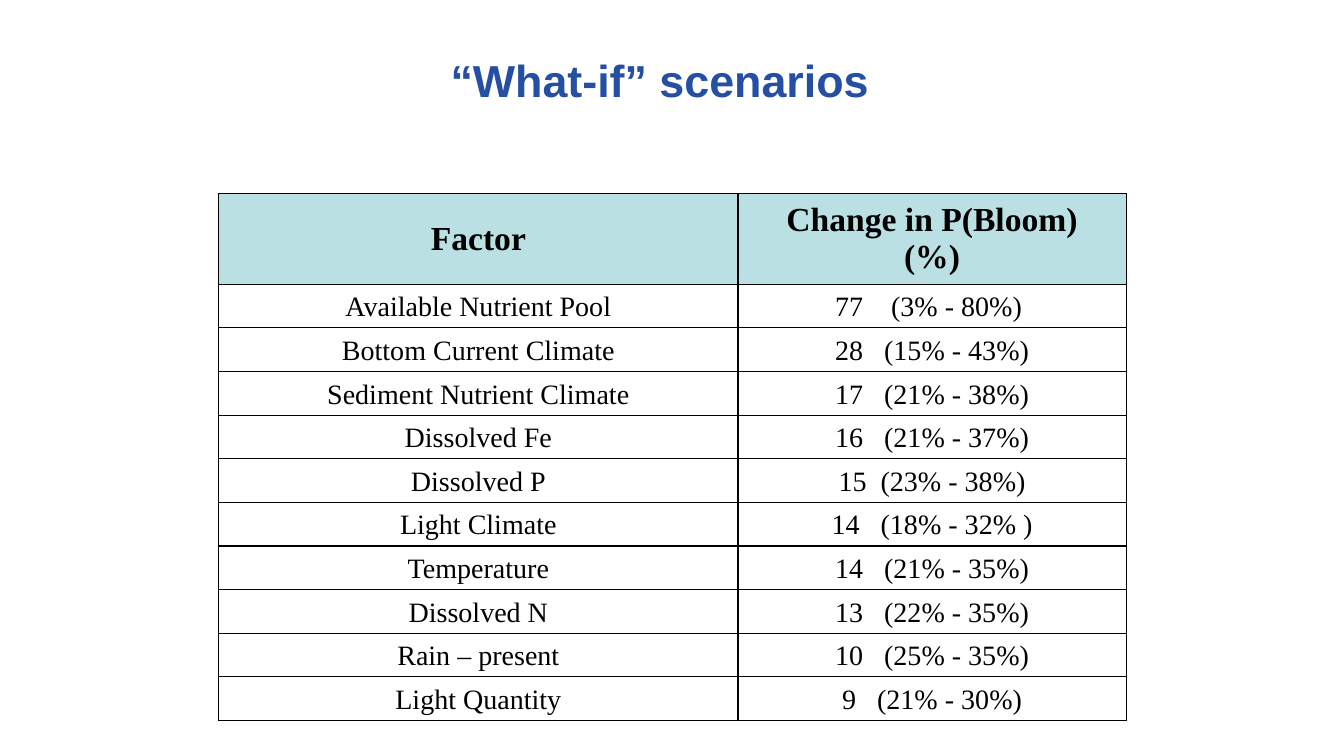
from dataclasses import dataclass

from lxml.etree import SubElement
from pptx import Presentation
from pptx.dml.color import RGBColor
from pptx.enum.text import MSO_ANCHOR as Anchor, PP_ALIGN as Align
from pptx.oxml.ns import qn
from pptx.util import Emu, Inches, Pt

SLIDE_WIDTH, SLIDE_HEIGHT = Inches(13.33), Inches(7.5)
HANGING_INDENT = Inches(0.38)
SPACE_WIDTH = 0.25  # width of a Times New Roman space, in ems

# Shares of the slide, in percent
TABLE_LEFT, TABLE_TOP = 16.28, 25.6
COLUMN_SHARES = (38.63, 28.88)
HEADER_SHARE, ROW_SHARE = 12, 5.77


@dataclass(frozen=True)
class TextStyle:
    font: str
    size: int
    color: str
    bold: bool = False


@dataclass(frozen=True)
class Scenario:
    factor: str
    change: str
    interval: str
    gap: int = 3  # distance from change to interval, in space widths


TITLE = TextStyle("Arial", 32, "254FA3", True)
HEADER = TextStyle("Times New Roman", 24, "000000", True)
BODY = TextStyle("Times New Roman", 20, "000000")

SCENARIOS = (
    Scenario("Available Nutrient Pool", "77", "(3% - 80%) ", 4),
    Scenario("Bottom Current Climate", "28", "(15% - 43%)"),
    Scenario("Sediment Nutrient Climate", "17", "(21% - 38%)"),
    Scenario("Dissolved Fe", "16", "(21% - 37%)"),
    Scenario("Dissolved P", "15", "(23% - 38%)", 2),
    Scenario("Light Climate", "14", "(18% - 32% )"),
    Scenario("Temperature", "14", "(21% - 35%)"),
    Scenario("Dissolved N", "13", "(22% - 35%)"),
    Scenario("Rain – present", "10", "(25% - 35%)"),
    Scenario("Light Quantity", "9", "(21% - 30%)"),
)


def across(share: float) -> Emu:
    return Emu(int(SLIDE_WIDTH * share / 100))


def down(share: float) -> Emu:
    return Emu(int(SLIDE_HEIGHT * share / 100))


def color(value: str) -> RGBColor:
    return RGBColor.from_string(value)


def add_run(paragraph, text: str, style: TextStyle):
    run = paragraph.add_run()
    run.text = text
    run.font.name = style.font
    run.font.size = Pt(style.size)
    run.font.bold = style.bold
    run.font.color.rgb = color(style.color)
    return run


def add_gap(paragraph, spaces: int, style: TextStyle) -> None:
    """Add one space, widened by character spacing."""
    run = add_run(paragraph, " ", style)
    extra = (spaces - 1) * SPACE_WIDTH * style.size
    run._r.get_or_add_rPr().set("spc", str(int(extra * 100)))


def centre(paragraph, indent: int = 0) -> None:
    paragraph.alignment = Align.CENTER
    if indent:
        properties = paragraph._p.get_or_add_pPr()
        properties.set("marL", str(indent))
        properties.set("indent", str(-indent))


def add_borders(cell, value: str = "000000") -> None:
    properties = cell._tc.get_or_add_tcPr()
    for side in ("a:lnL", "a:lnR", "a:lnT", "a:lnB"):
        line = SubElement(properties, qn(side), w=str(Pt(1)))
        fill = SubElement(line, qn("a:solidFill"))
        SubElement(fill, qn("a:srgbClr"), val=value)


def fill_cell(cell, lines, style: TextStyle, anchor: Anchor, fill: str = "") -> None:
    """Write lines of text pieces; a number among the pieces is a gap."""
    add_borders(cell)
    if fill:
        cell.fill.solid()
        cell.fill.fore_color.rgb = color(fill)
    else:
        cell.fill.background()
    cell.vertical_anchor = anchor
    frame = cell.text_frame
    for index, pieces in enumerate(lines):
        paragraph = frame.add_paragraph() if index else frame.paragraphs[0]
        centre(paragraph, HANGING_INDENT)
        for piece in pieces:
            if isinstance(piece, int):
                add_gap(paragraph, piece, style)
            else:
                add_run(paragraph, piece, style)


def add_title(slide, text: str) -> None:
    box = slide.shapes.add_textbox(
        across(TABLE_LEFT), down(5.6), across(65.64), down(9.73))
    frame = box.text_frame
    frame.word_wrap = True
    frame.vertical_anchor = Anchor.MIDDLE
    centre(frame.paragraphs[0])
    add_run(frame.paragraphs[0], text, TITLE)


def add_scenario_table(slide) -> None:
    table = slide.shapes.add_table(
        len(SCENARIOS) + 1, len(COLUMN_SHARES),
        across(TABLE_LEFT), down(TABLE_TOP), across(sum(COLUMN_SHARES)),
        down(HEADER_SHARE + ROW_SHARE * len(SCENARIOS))).table
    table.first_row = table.horz_banding = False
    for column, share in zip(table.columns, COLUMN_SHARES):
        column.width = across(share)
    for index, row in enumerate(table.rows):
        row.height = down(ROW_SHARE if index else HEADER_SHARE)

    # Header row
    headings = ([["Factor"]], [["Change in P(Bloom)"], ["(%)"]])
    for column, lines in enumerate(headings):
        fill_cell(table.cell(0, column), lines, HEADER, Anchor.MIDDLE, "BBE0E3")

    # One row per scenario
    for row, scenario in enumerate(SCENARIOS, start=1):
        change = [scenario.change, scenario.gap, scenario.interval]
        for column, pieces in enumerate(([scenario.factor], change)):
            fill_cell(table.cell(row, column), [pieces], BODY, Anchor.BOTTOM)


def main() -> None:
    presentation = Presentation()
    presentation.slide_width = SLIDE_WIDTH
    presentation.slide_height = SLIDE_HEIGHT
    slide = presentation.slides.add_slide(presentation.slide_layouts[6])
    add_scenario_table(slide)
    add_title(slide, "“What-if” scenarios")
    presentation.save("out.pptx")


if __name__ == "__main__":
    main()
